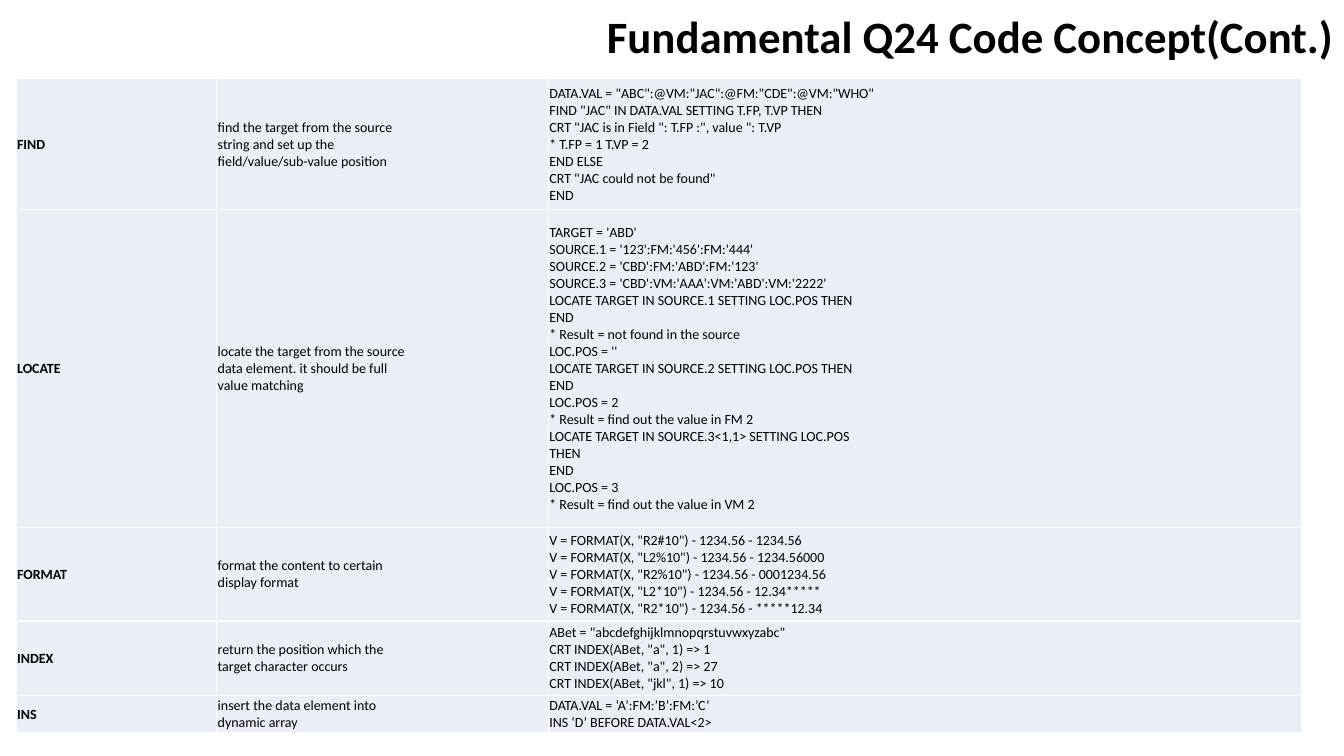
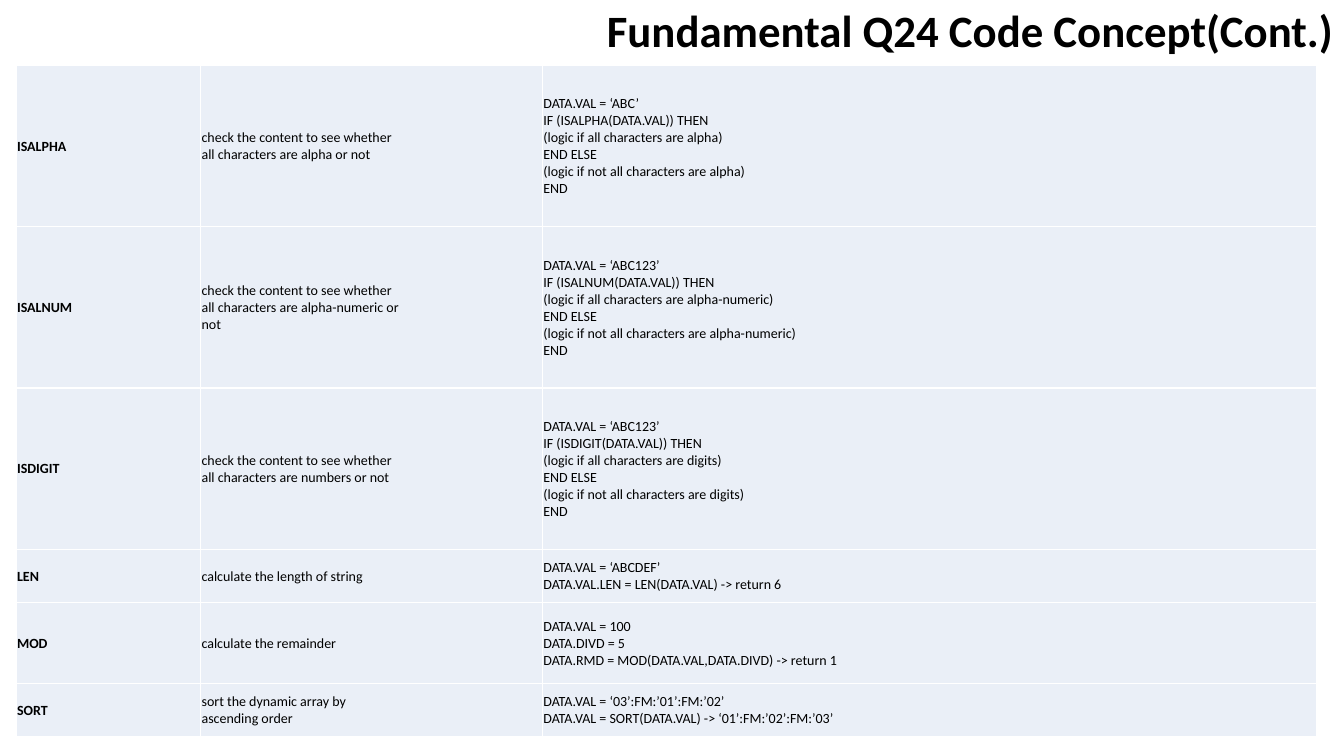
from copy import deepcopy

from lxml.etree import SubElement
from pptx import Presentation
from pptx.dml.color import RGBColor
from pptx.enum.text import MSO_ANCHOR as Anchor, MSO_AUTO_SIZE as AutoSize, PP_ALIGN as Align
from pptx.oxml.ns import qn
from pptx.util import Inches, Pt

# Shared style
WIDTH, HEIGHT = 13.33, 7.5
MARGIN = 0.16
FONT, TITLE_SIZE, CELL_SIZE = "Calibri", 32, 10
INK, CELL_FILL, RULE = "000000", "EAEFF7", "FFFFFF"
TITLE = "Fundamental Q24 Code Concept(Cont.)"

# Rows: height, function, description, example
SEARCH_ROWS = [
    (1.3, "FIND",
     "find the target from the source\nstring and set up the\nfield/value/sub-value position",
     """DATA.VAL = "ABC":@VM:"JAC":@FM:"CDE":@VM:"WHO"
FIND "JAC" IN DATA.VAL SETTING T.FP, T.VP THEN
CRT "JAC is in Field ": T.FP :", value ": T.VP
* T.FP = 1 T.VP = 2
END ELSE
CRT "JAC could not be found"
END"""),
    (3.15, "LOCATE",
     "locate the target from the source\ndata element. it should be full\nvalue matching",
     """TARGET = 'ABD'
SOURCE.1 = '123':FM:'456':FM:'444'
SOURCE.2 = 'CBD':FM:'ABD':FM:'123'
SOURCE.3 = 'CBD':VM:'AAA':VM:'ABD':VM:'2222'
LOCATE TARGET IN SOURCE.1 SETTING LOC.POS THEN
END
* Result = not found in the source
LOC.POS = ''
LOCATE TARGET IN SOURCE.2 SETTING LOC.POS THEN
END
LOC.POS = 2
* Result = find out the value in FM 2
LOCATE TARGET IN SOURCE.3<1,1> SETTING LOC.POS
THEN
END
LOC.POS = 3
* Result = find out the value in VM 2"""),
    (0.93, "FORMAT", "format the content to certain\ndisplay format",
     """V = FORMAT(X, "R2#10") - 1234.56 - 1234.56
V = FORMAT(X, "L2%10") - 1234.56 - 1234.56000
V = FORMAT(X, "R2%10") - 1234.56 - 0001234.56
V = FORMAT(X, "L2*10") - 1234.56 - 12.34*****
V = FORMAT(X, "R2*10") - 1234.56 - *****12.34"""),
    (0.74, "INDEX", "return the position which the\ntarget character occurs",
     """ABet = "abcdefghijklmnopqrstuvwxyzabc"
CRT INDEX(ABet, "a", 1) => 1
CRT INDEX(ABet, "a", 2) => 27
CRT INDEX(ABet, "jkl", 1) => 10"""),
    (0.37, "INS", "insert the data element into\ndynamic array",
     "DATA.VAL = ‘A’:FM:’B’:FM:’C’\nINS ‘D’ BEFORE DATA.VAL<2>"),
]


def check_row(name, value, kind, description):
    """Row for a function that tests the kind of characters."""
    example = (f"DATA.VAL = ‘{value}’\nIF ({name}(DATA.VAL)) THEN\n"
               f"(logic if all characters are {kind})\nEND ELSE\n"
               f"(logic if not all characters are {kind})\nEND")
    return 1.6, name, f"check the content to see whether\n{description}", example


CHECK_ROWS = [
    check_row("ISALPHA", "ABC", "alpha", "all characters are alpha or not"),
    check_row("ISALNUM", "ABC123", "alpha-numeric",
              "all characters are alpha-numeric or\nnot"),
    check_row("ISDIGIT", "ABC123", "digits", "all characters are numbers or not"),
    (0.53, "LEN", "calculate the length of string",
     "DATA.VAL = ‘ABCDEF’\nDATA.VAL.LEN = LEN(DATA.VAL) -> return 6"),
    (0.8, "MOD", "calculate the remainder",
     "DATA.VAL = 100\nDATA.DIVD = 5\nDATA.RMD = MOD(DATA.VAL,DATA.DIVD) -> return 1"),
    (0.53, "SORT", "sort the dynamic array by\nascending order",
     "DATA.VAL = ‘03’:FM:’01’:FM:’02’\nDATA.VAL = SORT(DATA.VAL) -> ‘01’:FM:’02’:FM:’03’"),
]


def color(hex_value):
    return RGBColor.from_string(hex_value)


def format_text(p, size, bold):
    for r in p.runs:
        r.font.name, r.font.size, r.font.bold = FONT, Pt(size), bold
        r.font.color.rgb = color(INK)
    # Line breaks take the size of the text around them
    for br in p._p.findall(qn("a:br")):
        br.append(deepcopy(p.runs[0]._r.rPr))


def add_title(s, height):
    title = s.shapes.title
    title.left, title.top = 0, 0
    title.width, title.height = Inches(WIDTH), Inches(height)
    tf = title.text_frame
    tf.text = TITLE
    tf.auto_size, tf.vertical_anchor = AutoSize.NONE, Anchor.MIDDLE
    p = tf.paragraphs[0]
    p.alignment, p.line_spacing = Align.RIGHT, 0.9
    format_text(p, TITLE_SIZE, True)


def add_borders(cell):
    tc_pr = cell._tc.get_or_add_tcPr()
    for side in ("lnL", "lnR", "lnT", "lnB"):
        ln = SubElement(tc_pr, qn(f"a:{side}"), w=str(Pt(1)))
        SubElement(SubElement(ln, qn("a:solidFill")), qn("a:srgbClr"), val=RULE)


def fill_cell(cell, text, bold):
    add_borders(cell)
    cell.fill.solid()
    cell.fill.fore_color.rgb = color(CELL_FILL)
    cell.margin_left = cell.margin_right = cell.margin_top = Inches(0.01)
    cell.margin_bottom = 0
    cell.vertical_anchor = Anchor.MIDDLE
    p = cell.text_frame.paragraphs[0]
    p.text = text
    format_text(p, CELL_SIZE, bold)


def add_function_table(s, top, col_widths, rows):
    height = sum(row[0] for row in rows)
    table = s.shapes.add_table(len(rows), len(col_widths), Inches(MARGIN), Inches(top),
                               Inches(sum(col_widths)), Inches(height)).table
    table.first_row = table.horz_banding = False
    for column, width in zip(table.columns, col_widths):
        column.width = Inches(width)
    for i, (row_height, *texts) in enumerate(rows):
        table.rows[i].height = Inches(row_height)
        for j, text in enumerate(texts):
            fill_cell(table.cell(i, j), text, bold=j == 0)


def add_function_slide(prs, title_height, col_widths, rows):
    s = prs.slides.add_slide(prs.slide_layouts[5])
    add_title(s, title_height)
    add_function_table(s, title_height, col_widths, rows)


def main():
    prs = Presentation()
    prs.slide_width, prs.slide_height = Inches(WIDTH), Inches(HEIGHT)
    add_function_slide(prs, 0.78, (1.99, 3.29, 7.47), SEARCH_ROWS)
    add_function_slide(prs, 0.65, (1.83, 3.39, 7.68), CHECK_ROWS)
    prs.save("out.pptx")


if __name__ == "__main__":
    main()
